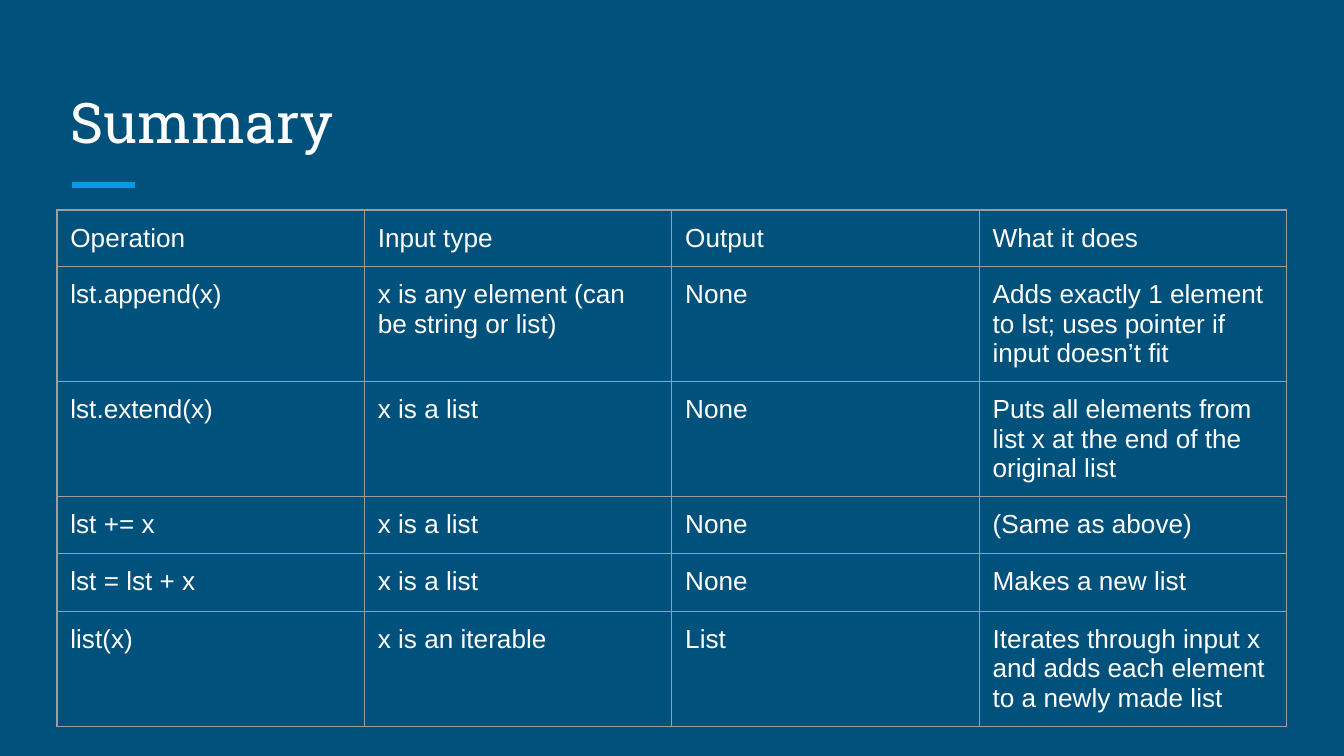
from lxml import etree
from pptx import Presentation
from pptx import util as u
from pptx.dml.color import RGBColor
from pptx.enum import shapes, text
from pptx.oxml.ns import qn

# Content
TITLE = "Summary"
ROWS = [
    ("Operation", "Input type", "Output", "What it does"),
    ("lst.append(x)", "x is any element (can be string or list)", "None",
     "Adds exactly 1 element to lst; uses pointer if input doesn’t fit"),
    ("lst.extend(x)", "x is a list", "None",
     "Puts all elements from list x at the end of the original list"),
    ("lst += x", "x is a list", "None", "(Same as above)"),
    ("lst = lst + x", "x is a list", "None", "Makes a new list"),
    ("list(x)", "x is an iterable", "List",
     "Iterates through input x and adds each element to a newly made list"),
]

# Look and layout, in points
COLORS = {"background": "00517C", "accent": "039BE5", "text": "FFFFFF", "border": "9E9E9E"}
LEFT, CONTENT_WIDTH = 30.5, 658.8
TABLE_TOP, BORDER, INSET = 112.5, 0.75, 7.2
ROW_HEIGHTS = [30.4, 30.4, 30.4, 30.4, 31, 30.4]


def color(name):
    return RGBColor.from_string(COLORS[name])


def set_font(paragraph, name, size):
    paragraph.font.name = name
    paragraph.font.size = u.Pt(size)
    paragraph.font.color.rgb = color("text")


def set_insets(target):
    for side in ("left", "right", "top", "bottom"):
        setattr(target, f"margin_{side}", u.Pt(INSET))


def add_borders(cell):
    properties = cell._tc.get_or_add_tcPr()
    for tag in ("a:lnL", "a:lnR", "a:lnT", "a:lnB"):
        line = etree.SubElement(properties, qn(tag), w=str(u.Pt(BORDER)))
        fill = etree.SubElement(line, qn("a:solidFill"))
        etree.SubElement(fill, qn("a:srgbClr"), val=COLORS["border"])


presentation = Presentation()
presentation.slide_width, presentation.slide_height = u.Pt(720), u.Pt(405)
slide = presentation.slides.add_slide(presentation.slide_layouts[5])
slide.background.fill.solid()
slide.background.fill.fore_color.rgb = color("background")

# Accent line under the title
accent = slide.shapes.add_connector(
    shapes.MSO_CONNECTOR.STRAIGHT, u.Pt(38.6), u.Pt(99), u.Pt(72.3), u.Pt(99))
accent.line.color.rgb = color("accent")
accent.line.width = u.Pt(3)
etree.SubElement(accent._element.spPr, qn("a:effectLst"))

# Title
title = slide.shapes.title
title.left, title.top = u.Pt(LEFT), u.Pt(36)
title.width, title.height = u.Pt(CONTENT_WIDTH), u.Pt(54)
frame = title.text_frame
frame.text = TITLE
frame.word_wrap = True
frame.auto_size = text.MSO_AUTO_SIZE.NONE
frame.vertical_anchor = text.MSO_ANCHOR.BOTTOM
set_insets(frame)
frame.paragraphs[0].alignment = text.PP_ALIGN.LEFT
set_font(frame.paragraphs[0], "Roboto Slab", 30)

# Table of list operations
table = slide.shapes.add_table(
    len(ROWS), len(ROWS[0]), u.Pt(LEFT), u.Pt(TABLE_TOP),
    u.Pt(CONTENT_WIDTH), u.Pt(sum(ROW_HEIGHTS))).table
table.first_row = table.horz_banding = False
for column in table.columns:
    column.width = u.Pt(CONTENT_WIDTH / len(ROWS[0]))
for row, height, values in zip(table.rows, ROW_HEIGHTS, ROWS):
    row.height = u.Pt(height)
    for cell, value in zip(row.cells, values):
        cell.text = value
        set_insets(cell)
        add_borders(cell)
        cell.fill.background()
        set_font(cell.text_frame.paragraphs[0], "Arial", 14)

presentation.save("out.pptx")
